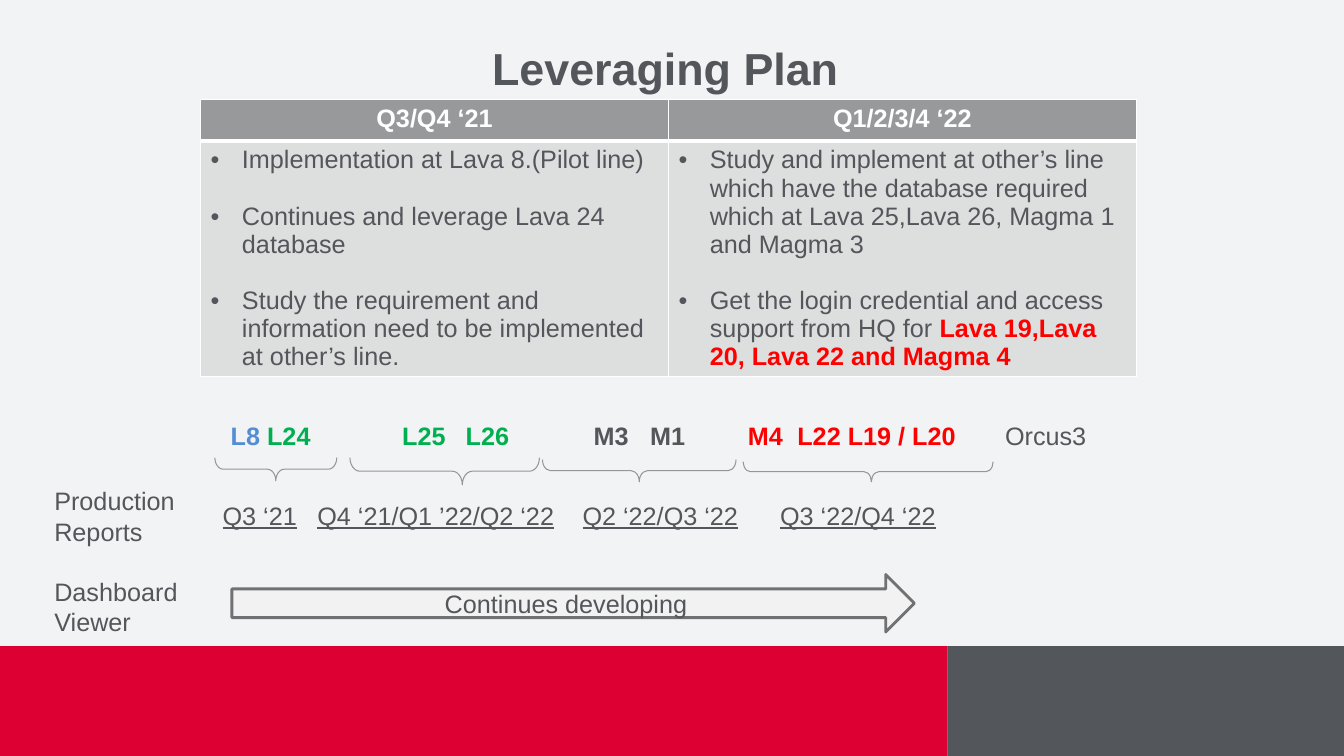
"""Build the Leveraging Plan slide: quarterly table, line roll-out and progress arrow."""
from dataclasses import dataclass

from lxml.etree import SubElement
from pptx import Presentation
from pptx.dml.color import RGBColor
from pptx.enum.shapes import MSO_SHAPE
from pptx.enum.text import MSO_ANCHOR, PP_ALIGN
from pptx.oxml.ns import qn
from pptx.util import Inches, Pt


@dataclass(frozen=True)
class Theme:
    font: str = "Arial"
    title: int = 32
    body: int = 18
    ground: str = "F2F3F4"
    ink: str = "53565A"
    crimson: str = "DD0032"
    header: str = "97999B"
    cell: str = "DDDEDE"
    white: str = "FFFFFF"
    blue: str = "548DD4"
    green: str = "00B050"
    red: str = "FF0000"
    brace: str = "949698"
    arrow: str = "F2F2F2"
    arrow_edge: str = "707173"


THEME = Theme()
WIDTH, HEIGHT = 13.33, 7.5
BOLD, UNDERLINE = {"bold": True}, {"underline": True}

TITLE = "Leveraging Plan"
PLAN = {
    "Q3/Q4 ‘21": [
        [("Implementation at Lava 8.(Pilot line)",)],
        [("Continues and leverage Lava 24 database",)],
        [("Study the requirement and information need to be implemented at other’s line.",)],
    ],
    "Q1/2/3/4 ‘22": [
        [("Study and implement at other’s line which have the database required "
          "which at Lava 25,Lava 26, Magma 1 and Magma 3",)],
        [("Get the login credential and access support from HQ for ",),
         ("Lava 19,Lava 20, Lava 22 and Magma 4", THEME.red, BOLD)],
    ],
}
LINES = [
    ("\tL8 ", THEME.blue, BOLD), ("L24\tL25\tL26", THEME.green, BOLD),
    ("\tM3\tM1", THEME.ink, BOLD), ("\tM4\tL22 L19 / L20", THEME.red, BOLD),
    ("\tOrcus3",),
]
LINE_STOPS = [0.2, 1.9, 2.53, 3.8, 4.36, 5.33, 5.82, 7.88]
PERIODS = ["Q3 ‘21", "Q4 ‘21/Q1 ’22/Q2 ‘22", "Q2 ‘22/Q3 ‘22", "Q3 ‘22/Q4 ‘22"]
PERIOD_STOPS = [0.94, 3.57, 5.53]
TRACKS = ["Production Reports", "Dashboard Viewer"]
PROGRESS = "Continues developing"
BRACES = [
    (2.13, 4.54, 1.21, 0.23, 0.5), (3.47, 4.54, 1.88, 0.27, 0.593),
    (5.38, 4.56, 1.92, 0.22, 0.5), (7.37, 4.58, 2.48, 0.2, 0.513),
]
BAND_TOP, BAND_SPLIT = 6.41, 9.4
TABLE_LEFT, TABLE_TOP, COLUMN, ROWS = 1.99, 0.99, 4.64, (0.41, 2.33)
HANG, TABLE_PITCH, TRACK_PITCH = 0.31, 20.1, 21.6


def apply(target, formats):
    for key, value in formats.items():
        setattr(target, key, value)


def box(left, top, width, height):
    return [Inches(length) for length in (left, top, width, height)]


def paint(fill, color):
    fill.solid()
    fill.fore_color.rgb = RGBColor.from_string(color)


def write(paragraph, runs, size=THEME.body, **formats):
    apply(paragraph, formats)
    for words, color, extra in ((*run, THEME.ink, {})[:3] if len(run) == 1 else run for run in runs):
        run = paragraph.add_run()
        run.text = words
        apply(run.font, {"name": THEME.font, "size": Pt(size), **extra})
        run.font.color.rgb = RGBColor.from_string(color)


def add_text(slide, place, paragraphs, top_inset=0.05, **formats):
    frame = slide.shapes.add_textbox(*box(*place)).text_frame
    apply(frame, {"word_wrap": True, "margin_top": Inches(top_inset)})
    for index, runs in enumerate(paragraphs):
        paragraph = frame.add_paragraph() if index else frame.paragraphs[0]
        write(paragraph, runs, **formats)
        if index:
            paragraph.space_before = Pt(TRACK_PITCH)
    return frame


def set_tabs(paragraph, stops):
    tabs = SubElement(paragraph._p.get_or_add_pPr(), qn("a:tabLst"))
    for stop in stops:
        SubElement(tabs, qn("a:tab"), pos=str(Inches(stop)), algn="l")


def set_bullet(paragraph):
    properties = paragraph._p.get_or_add_pPr()
    properties.set("marL", str(Inches(HANG)))
    properties.set("indent", str(-Inches(HANG)))
    SubElement(properties, qn("a:buFont"), typeface=THEME.font)
    SubElement(properties, qn("a:buChar"), char="•")


def set_borders(cell, bottom):
    properties = cell._tc.get_or_add_tcPr()
    for index, (side, points) in enumerate(zip("LRTB", (1, 1, 1, bottom))):
        edge = properties.makeelement(qn(f"a:ln{side}"), {"w": str(Pt(points))})
        SubElement(SubElement(edge, qn("a:solidFill")), qn("a:srgbClr"), val=THEME.white)
        properties.insert(index, edge)


def add_shape(slide, kind, place, fill=None, line=None, weight=1):
    shape = slide.shapes.add_shape(kind, *box(*place))
    shape.shadow.inherit = False
    if fill:
        paint(shape.fill, fill)
    else:
        shape.fill.background()
    if line:
        paint(shape.line.fill, line)
        shape.line.width = Pt(weight)
    else:
        shape.line.fill.background()
    return shape


def add_plan(slide):
    place = box(TABLE_LEFT, TABLE_TOP, COLUMN * len(PLAN), sum(ROWS))
    table = slide.shapes.add_table(len(ROWS), len(PLAN), *place).table
    for row, height in zip(table.rows, ROWS):
        row.height = Inches(height)
    for column, (quarter, tasks) in enumerate(PLAN.items()):
        table.columns[column].width = Inches(COLUMN)
        heading, body = table.cell(0, column), table.cell(1, column)
        for cell, color, bottom in ((heading, THEME.header, 3), (body, THEME.cell, 1)):
            paint(cell.fill, color)
            set_borders(cell, bottom)
        write(heading.text_frame.paragraphs[0], [(quarter, THEME.white, BOLD)],
              alignment=PP_ALIGN.CENTER)
        for index, runs in enumerate(tasks):
            frame = body.text_frame
            paragraph = frame.add_paragraph() if index else frame.paragraphs[0]
            write(paragraph, runs, line_spacing=Pt(TABLE_PITCH),
                  space_before=Pt(TABLE_PITCH if index else 0))
            set_bullet(paragraph)


def add_brace(slide, left, top, span, depth, tip):
    turned = (left + (span - depth) / 2, top + (depth - span) / 2, depth, span)
    brace = add_shape(slide, MSO_SHAPE.RIGHT_BRACE, turned, line=THEME.brace, weight=0.75)
    brace.rotation = 270
    brace._element.spPr.find(qn("a:xfrm")).set("flipH", "1")
    for index, value in enumerate((0.365, tip)):
        brace.adjustments[index] = value


def main():
    deck = Presentation()
    apply(deck, {"slide_width": Inches(WIDTH), "slide_height": Inches(HEIGHT)})
    slide = deck.slides.add_slide(deck.slide_layouts[6])
    paint(slide.background.fill, THEME.ground)
    for left, right, color in ((BAND_SPLIT, WIDTH, THEME.ink), (0, BAND_SPLIT, THEME.crimson)):
        add_shape(slide, MSO_SHAPE.RECTANGLE,
                  (left, BAND_TOP, right - left, HEIGHT - BAND_TOP), color)
    add_text(slide, (0.6, 0.3, 12, 0.9), [[(TITLE, THEME.ink, BOLD)]], top_inset=0.1,
             size=THEME.title, alignment=PP_ALIGN.CENTER)
    add_plan(slide)
    lines = add_text(slide, (TABLE_LEFT, 4.12, 10.61, 0.4), [LINES])
    set_tabs(lines.paragraphs[0], LINE_STOPS)
    add_text(slide, (0.44, 4.77, 1.55, 1.62), [[(track,)] for track in TRACKS],
             line_spacing=Pt(TRACK_PITCH))
    schedule = [(PERIODS[0], THEME.ink, UNDERLINE)]
    for period in PERIODS[1:]:
        schedule += [("\t",), (period, THEME.ink, UNDERLINE)]
    periods = add_text(slide, (2.11, 4.91, 9, 0.4), [schedule])
    set_tabs(periods.paragraphs[0], PERIOD_STOPS)
    for brace in BRACES:
        add_brace(slide, *brace)
    arrow = add_shape(slide, MSO_SHAPE.RIGHT_ARROW, (2.3, 5.7, 6.77, 0.57),
                      THEME.arrow, THEME.arrow_edge, 2)
    apply(arrow.text_frame, {"word_wrap": True, "vertical_anchor": MSO_ANCHOR.MIDDLE})
    write(arrow.text_frame.paragraphs[0], [(PROGRESS,)], alignment=PP_ALIGN.CENTER)
    deck.save("out.pptx")


if __name__ == "__main__":
    main()
